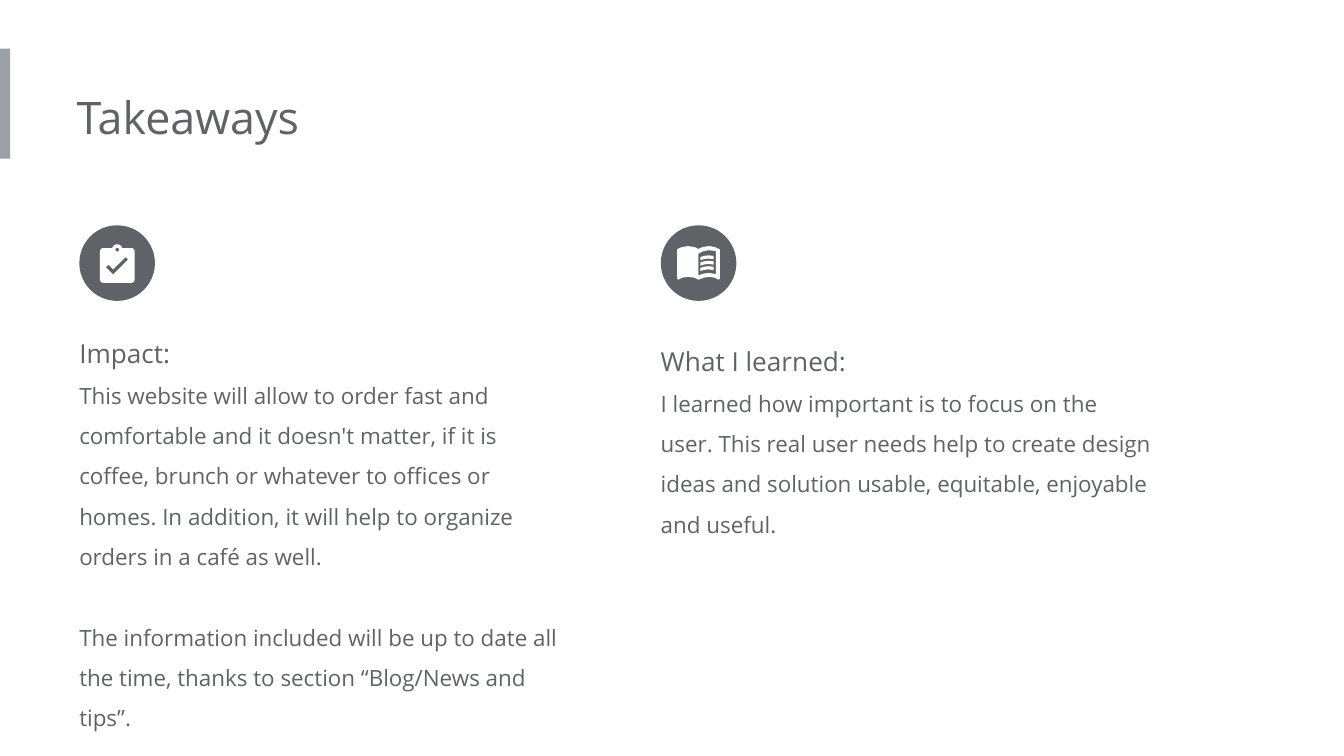
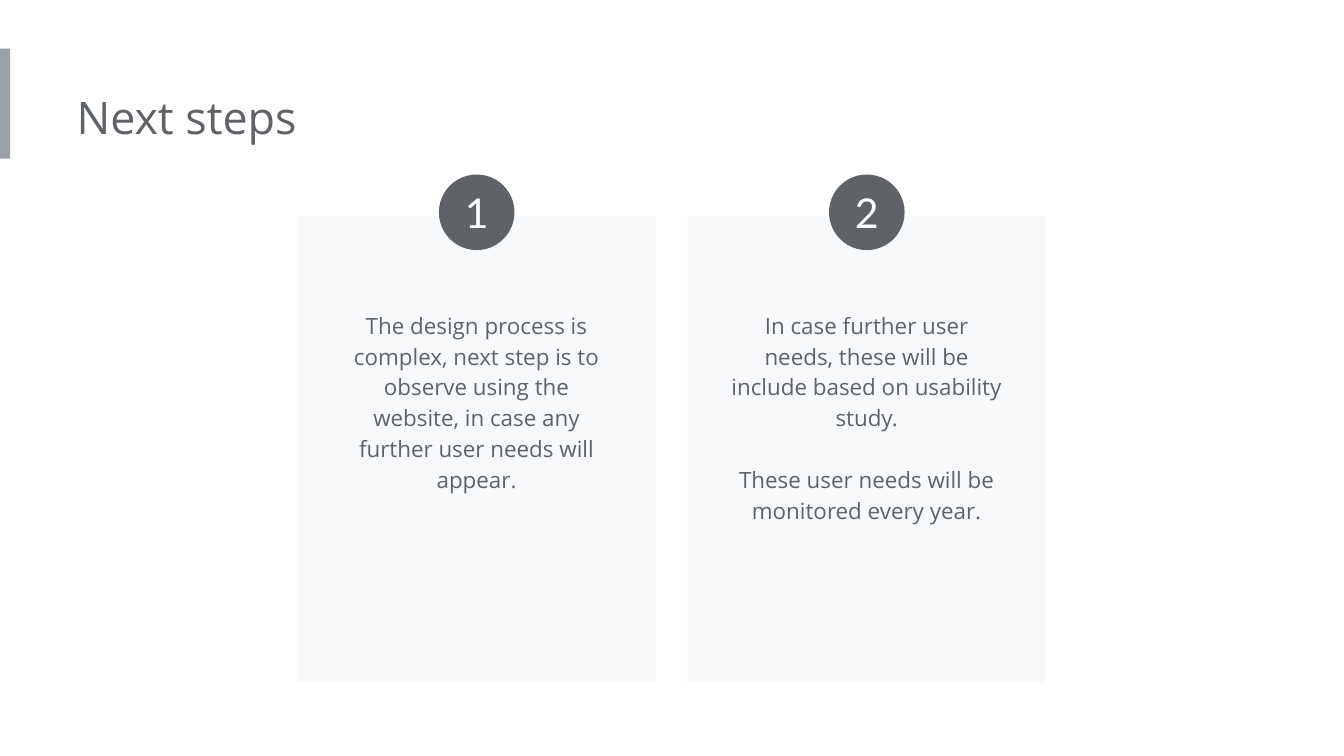
from dataclasses import dataclass
from math import cos, radians, sin

from pptx import Presentation
from pptx.dml.color import RGBColor
from pptx.enum.shapes import MSO_SHAPE as Preset
from pptx.enum.text import MSO_ANCHOR as Anchor, MSO_AUTO_SIZE as AutoSize, PP_ALIGN as Align
from pptx.util import Pt

COLORS = {"text": "5F6368", "band": "9AA0A6", "card": "F8F9FA", "white": "FFFFFF"}
BODY_FONT = "Open Sans"
NUMBER_FONT = "Lato"
INSET = 7.2
DISC_SIZE = 40.5

Point = tuple[float, float]
Contour = list[Point]


@dataclass(frozen=True)
class TextLine:
    text: str
    size: float = 12
    space_before: float = 0


@dataclass(frozen=True)
class Icon:
    left: float  # offset from the disc
    top: float
    contours: list[Contour]


@dataclass(frozen=True)
class Takeaway:
    left: float
    text_top: float
    text_height: float
    icon: Icon
    lines: list[TextLine]


@dataclass(frozen=True)
class Step:
    text_height: float
    lines: list[TextLine]


# Icon outlines
def arc(x: float, y: float, radius: float, start: int, end: int, step: int = 15) -> Contour:
    """Points along an arc; angles run clockwise from the right."""
    return [(x + radius * cos(radians(angle)), y + radius * sin(radians(angle)))
            for angle in range(start, end + 1, step)]


def shift(contour: Contour, x: float, y: float) -> Contour:
    return [(px + x, py + y) for px, py in contour]


CLIPBOARD = Icon(11, 10.2, [
    arc(2, 4, 2, 180, 270) + arc(9.35, 2.8, 2.8, 195, 345) + arc(16.7, 4, 2, 270, 360)
    + arc(16.7, 18.7, 2, 0, 90) + arc(2, 18.7, 2, 90, 180),
    arc(9.35, 2.9, 1, 0, 345),
    [(7.2, 16.2), (3.3, 12.3), (4.7, 11), (7.2, 13.5), (13.9, 6.8), (15.2, 8.2)],
])

TEXT_ROW = [(0, 0.9), (2, 0.3), (4.3, 0), (7.1, 0.3), (7.1, 2.1), (4.3, 1.7), (2, 2), (0, 2.6)]
BOOK = Icon(8.7, 11.1, [
    [(0.3, 1.6), (2.5, 0.6), (5.8, 0), (9.5, 0.6), (11.5, 1.6), (13.5, 0.6), (17.2, 0),
     (20.5, 0.6), (23, 1.9), (23, 17.3), (22.4, 18), (20, 16.9), (17.3, 16.5), (14.5, 16.9),
     (11.5, 18), (9, 16.9), (5.8, 16.5), (3, 16.9), (0.6, 18), (0, 17.3), (0, 2)],
    [(11.5, 4.1), (14, 2.8), (17.2, 2.2), (20.9, 2.8), (20.9, 15.1), (17.2, 14.4),
     (14, 14.8), (11.5, 15.8)],
    *[shift(TEXT_ROW, 12.5, 5 + 2.9 * row) for row in range(3)],
])

# Slide content
TAKEAWAYS = [
    Takeaway(42.5, 165, 250.5, CLIPBOARD, [
        TextLine("Impact:", 14),
        TextLine("This website will allow to order fast and comfortable and it doesn't matter, "
                 "if it is coffee, brunch or whatever to offices or homes. In addition, it will "
                 "help to organize orders in a café as well."),
        TextLine("The information included will be up to date all the time, thanks to section "
                 "“Blog/News and tips”.", space_before=21.6),
    ]),
    Takeaway(354, 169.2, 120.2, BOOK, [
        TextLine("What I learned:", 14),
        TextLine("I learned how important is to focus on the user. This real user needs help to "
                 "create design ideas and solution usable, equitable, enjoyable and useful."),
    ]),
]

STEPS = [
    Step(113, [TextLine("The design process is complex, next step is to observe using the "
                        "website, in case any further user needs will appear.")]),
    Step(129.6, [
        TextLine("In case further user needs, these will be include based on usability study."),
        TextLine("These user needs will be monitored every year.", space_before=16.6),
    ]),
]


# Drawing functions
def write_text(frame, lines: list[TextLine], *, font: str = BODY_FONT, color: str = "text",
               align=Align.LEFT, anchor=Anchor.TOP, line_spacing: float = 1.0,
               margins: tuple = (0, INSET, INSET, INSET), auto_size=AutoSize.SHAPE_TO_FIT_TEXT):
    frame.word_wrap = True
    frame.auto_size = auto_size
    frame.vertical_anchor = anchor
    (frame.margin_left, frame.margin_top,
     frame.margin_right, frame.margin_bottom) = map(Pt, margins)
    for index, line in enumerate(lines):
        paragraph = frame.add_paragraph() if index else frame.paragraphs[0]
        paragraph.alignment = align
        paragraph.line_spacing = line_spacing
        paragraph.space_before = Pt(line.space_before)
        run = paragraph.add_run()
        run.text = line.text
        run.font.name = font
        run.font.size = Pt(line.size)
        run.font.color.rgb = RGBColor.from_string(COLORS[color])


def paint(shape, color: str):
    shape.shadow.inherit = False
    shape.fill.solid()
    shape.fill.fore_color.rgb = RGBColor.from_string(COLORS[color])
    shape.line.fill.background()
    return shape


def add_box(slide, preset, left: float, top: float, width: float, height: float, color: str):
    return paint(slide.shapes.add_shape(preset, Pt(left), Pt(top), Pt(width), Pt(height)), color)


def add_disc(slide, left: float, top: float):
    return add_box(slide, Preset.OVAL, left, top, DISC_SIZE, DISC_SIZE, "text")


def add_text(slide, left: float, top: float, width: float, height: float,
             lines: list[TextLine], **text_format):
    box = slide.shapes.add_textbox(Pt(left), Pt(top), Pt(width), Pt(height))
    write_text(box.text_frame, lines, **text_format)


def add_icon(slide, icon: Icon, disc_left: float, disc_top: float):
    builder = None
    for contour in icon.contours:
        first, *rest = [(Pt(x), Pt(y)) for x, y in
                        shift(contour, disc_left + icon.left, disc_top + icon.top)]
        if builder is None:
            builder = slide.shapes.build_freeform(*first)
        else:
            builder.move_to(*first)
        builder.add_line_segments(rest, close=True)
    paint(builder.convert_to_shape(), "white")


def add_titled_slide(presentation, title: str):
    slide = presentation.slides.add_slide(presentation.slide_layouts[5])
    add_box(slide, Preset.RECTANGLE, 0, 26, 5.5, 59, "band")
    placeholder = slide.shapes.title
    placeholder.left, placeholder.top = Pt(41), Pt(41)
    placeholder.width, placeholder.height = Pt(388), Pt(44)
    write_text(placeholder.text_frame, [TextLine(title, 24)])
    return slide


def build_takeaways(presentation):
    slide = add_titled_slide(presentation, "Takeaways")
    disc_top = 120.7
    for takeaway in TAKEAWAYS:
        add_disc(slide, takeaway.left, disc_top)
        add_icon(slide, takeaway.icon, takeaway.left, disc_top)
        add_text(slide, takeaway.left, takeaway.text_top, 271.5, takeaway.text_height,
                 takeaway.lines, line_spacing=1.5)


def build_next_steps(presentation):
    slide = add_titled_slide(presentation, "Next steps")
    card_width, card_pitch, text_width = 191.7, 209, 161.3
    for index, step in enumerate(STEPS):
        left = 159.5 + index * card_pitch
        center = left + card_width / 2
        add_box(slide, Preset.RECTANGLE, left, 115.8, card_width, 250, "card")
        disc = add_disc(slide, center - DISC_SIZE / 2, 93.5)
        write_text(disc.text_frame, [TextLine(str(index + 1), 22)], font=NUMBER_FONT,
                   color="white", align=Align.CENTER, anchor=Anchor.MIDDLE,
                   margins=(0, 0, 0, 0), auto_size=AutoSize.NONE)
        add_text(slide, center - text_width / 2, 157.7, text_width, step.text_height, step.lines,
                 align=Align.CENTER, line_spacing=1.15, margins=(INSET,) * 4)


def main():
    presentation = Presentation()
    presentation.slide_width, presentation.slide_height = Pt(720), Pt(405)
    build_takeaways(presentation)
    build_next_steps(presentation)
    presentation.save("out.pptx")


if __name__ == "__main__":
    main()
